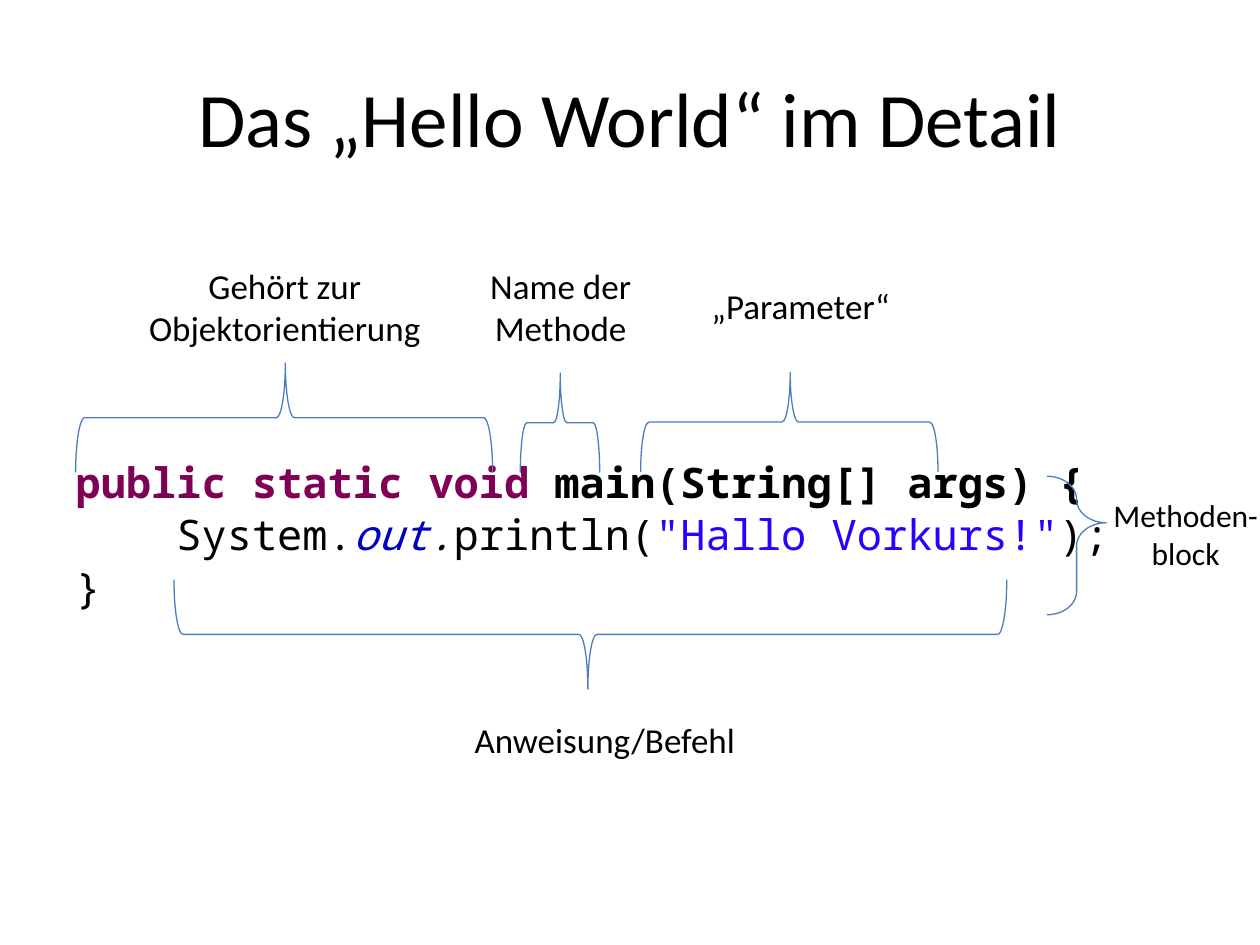
from dataclasses import dataclass

from lxml import etree
from pptx import Presentation
from pptx import util as u
from pptx.dml.color import RGBColor
from pptx.enum import shapes, text
from pptx.oxml import ns


@dataclass(frozen=True)
class Theme:
    font: str = "Calibri"
    code_font: str = "Noto Sans Mono"
    ink: str = "000000"
    keyword: str = "7F0055"
    field: str = "0000C0"
    string: str = "2A00FF"
    brace: str = "4B7EBC"
    title_size: int = 44
    code_size: int = 24
    label_size: int = 20
    small_size: int = 18
    line_width: float = 0.75


class Slide:
    """Holds the theme and the page, and draws each kind of element."""

    def __init__(self, deck, theme):
        self.theme = theme
        self.page = deck.slides.add_slide(deck.slide_layouts[1])

    def place(self, box, left, top, width, height):
        box.left, box.top = u.Inches(left), u.Inches(top)
        box.width, box.height = u.Inches(width), u.Inches(height)

    def style(self, span, size, font=None, color=None, bold=False, italic=False):
        span.font.name = font or self.theme.font
        span.font.size = u.Pt(size)
        span.font.bold, span.font.italic = bold, italic
        span.font.color.rgb = RGBColor.from_string(color or self.theme.ink)

    def title(self, words, *frame):
        box = self.page.shapes.title
        self.place(box, *frame)
        box.text_frame.text = words
        box.text_frame.vertical_anchor = text.MSO_ANCHOR.MIDDLE
        para = box.text_frame.paragraphs[0]
        para.alignment = text.PP_ALIGN.CENTER
        self.style(para.runs[0], self.theme.title_size)

    def code(self, lines, top_margin, *frame):
        """Each line is an indent in inches and a list of (words, format)."""
        box = self.page.placeholders[1]
        self.place(box, *frame)
        body = box.text_frame
        body.auto_size = text.MSO_AUTO_SIZE.NONE
        body.margin_top = u.Inches(top_margin)
        for number, (indent, spans) in enumerate(lines):
            para = body.add_paragraph() if number else body.paragraphs[0]
            para.space_before = u.Pt(1.3)
            props = para._p.get_or_add_pPr()
            props.set("marL", str(u.Inches(indent)))
            props.set("indent", "0")
            etree.SubElement(props, ns.qn("a:buNone"))
            for words, look in spans:
                span = para.add_run()
                span.text = words
                self.style(span, self.theme.code_size, self.theme.code_font, **look)

    def label(self, words, size, *frame):
        box = self.page.shapes.add_textbox(*map(u.Inches, frame))
        box.text_frame.word_wrap = True
        box.text_frame.auto_size = text.MSO_AUTO_SIZE.SHAPE_TO_FIT_TEXT
        box.text_frame.text = words
        for para in box.text_frame.paragraphs:
            para.alignment = text.PP_ALIGN.CENTER
            self.style(para.runs[0], size)

    def brace(self, rotation, curve, tip, *frame):
        box = self.page.shapes.add_shape(
            shapes.MSO_SHAPE.RIGHT_BRACE, *map(u.Inches, frame))
        box.rotation = rotation
        box.adjustments[0], box.adjustments[1] = curve, tip
        box.shadow.inherit = False
        box.fill.background()
        box.line.color.rgb = RGBColor.from_string(self.theme.brace)
        box.line.width = u.Pt(self.theme.line_width)


theme = Theme()
deck = Presentation()
deck.slide_width, deck.slide_height = u.Inches(10), u.Inches(7.5)
slide = Slide(deck, theme)

# Title and code listing
slide.title("Das „Hello World“ im Detail", 0.5, 0.3, 9, 1.25)
slide.code([
    (0, [("public static void", dict(color=theme.keyword, bold=True)),
         (" main(String[] args) {", dict(bold=True))]),
    (0.8, [("System.", {}),
           ("out", dict(color=theme.field, italic=True)),
           (".", dict(italic=True)),
           ("println(", {}),
           ('"Hallo Vorkurs!"', dict(color=theme.string)),
           (");", {})]),
    (0, [("}", {})]),
], 1.87, 0.5, 1.75, 9, 4.95)

# Braces around the parts of the code
UP, RIGHT, DOWN = 270, 0, 90
for rotation, curve, tip, frame in [
    (UP, 0.083, 0.503, (1.82, 1.66, 0.87, 3.31)),
    (UP, 0.083, 0.503, (4.05, 3.04, 0.79, 0.63)),
    (UP, 0.083, 0.503, (5.87, 2.17, 0.79, 2.36)),
    (RIGHT, 0.392, 0.336, (8.31, 3.78, 0.47, 1.1)),
    (DOWN, 0.083, 0.503, (4.25, 1.73, 0.87, 6.61)),
]:
    slide.brace(rotation, curve, tip, *frame)

# Explanations at the brace tips
for words, size, frame in [
    ("Gehört zur Objektorientierung", theme.label_size, (1.07, 2.05, 2.38, 0.77)),
    ("Name der Methode", theme.label_size, (3.75, 2.05, 1.4, 0.77)),
    ("„Parameter“", theme.label_size, (5.51, 2.21, 1.69, 0.44)),
    ("Methoden-\nblock", theme.small_size, (8.7, 3.89, 1.42, 0.71)),
    ("Anweisung/Befehl", theme.label_size, (3.54, 5.65, 2.52, 0.44)),
]:
    slide.label(words, size, *frame)

deck.save("out.pptx")
